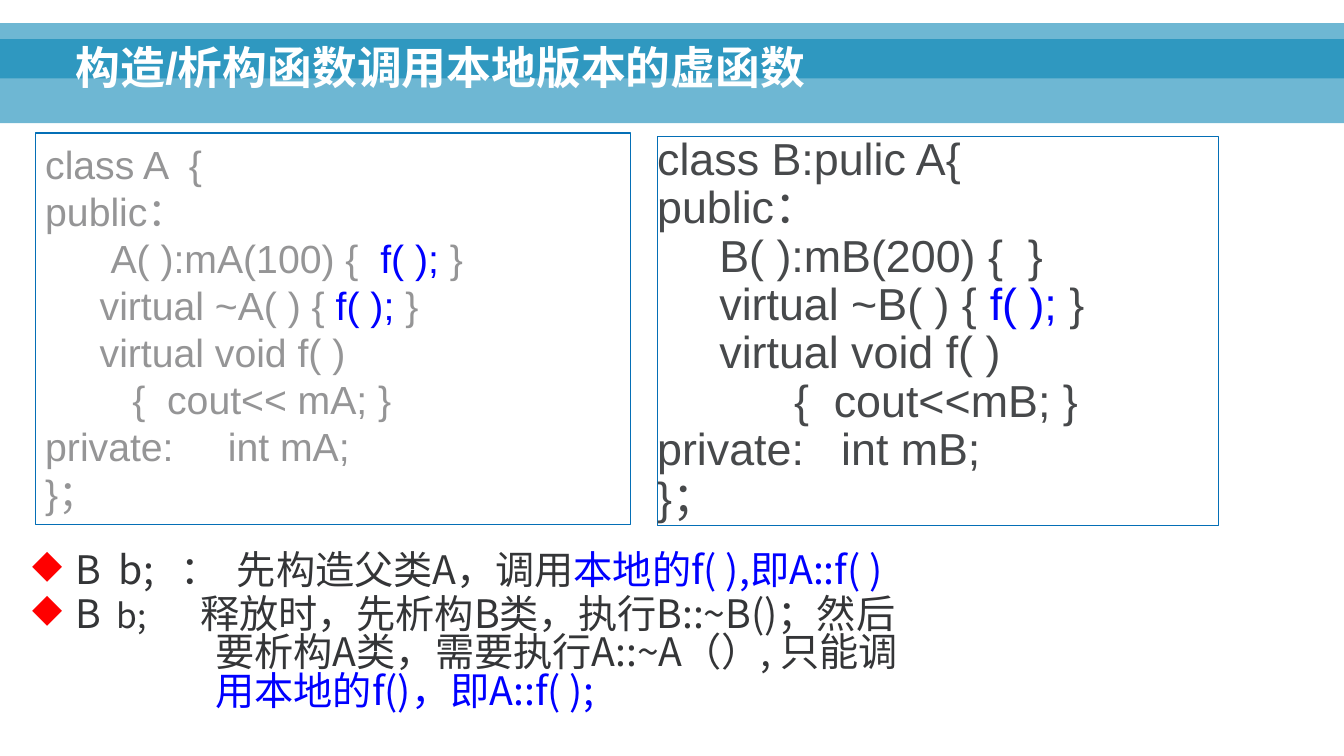
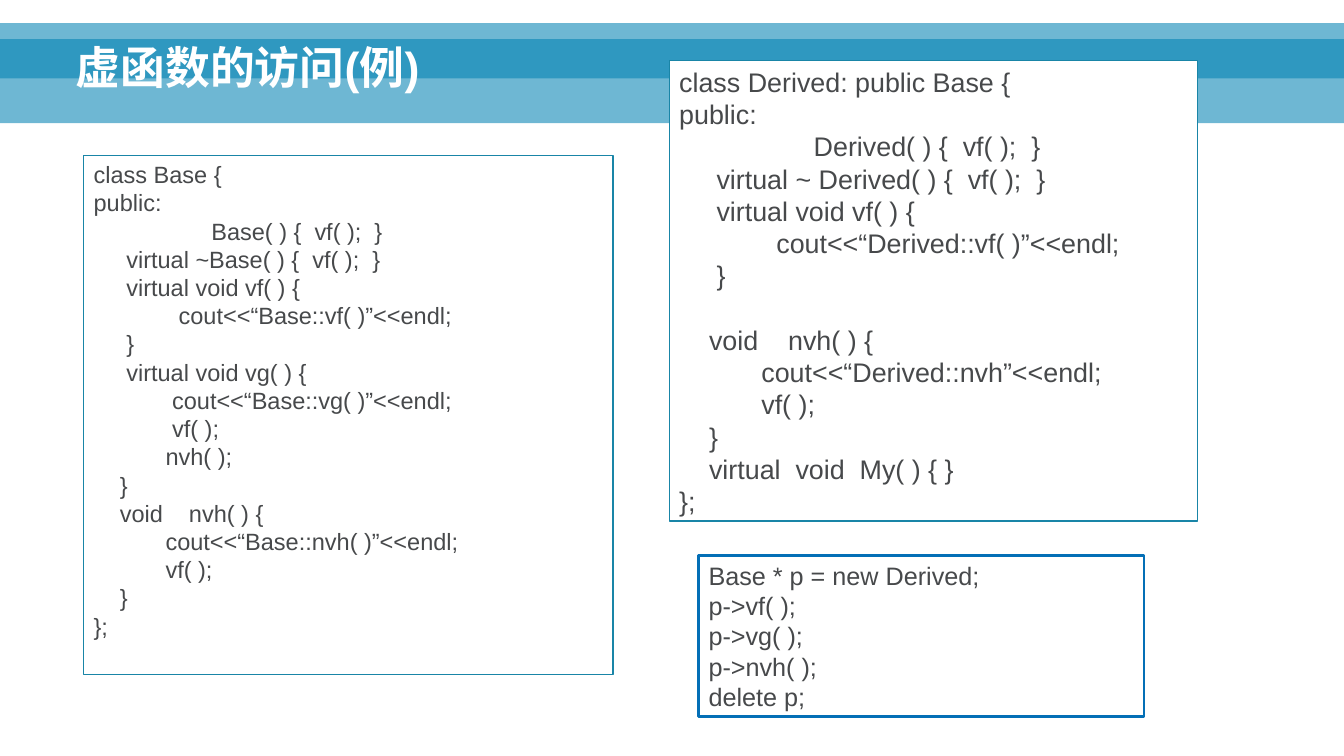
"""Build two slides on virtual function calls."""
from pptx import Presentation
from pptx import util as u
from pptx.dml import color
from pptx.enum import shapes, text
from pptx.oxml import xmlchemy as xc

Pt = u.Pt
HUES = {"band": "0082B3", "white": "FFFFFF", "gray": "959596", "dark": "47494B",
        "ink": "343537", "blue": "0000FF", "red": "FF0000", "edge": "046FB6",
        "teal": "1985A7"}
SANS, CJK = "Arial", "Noto Sans CJK SC"
SPACE = 0.278
PITCH = 1.2
BANDS = [(28, 60), (16.5, 39.5)]

OUTER = """class A  {
public：
      A( ):mA(100) { | f( ); |}
     virtual ~A( ) {| f( ); |}
     virtual void f( )
        {  cout<< mA; }
private:     int mA;
}；"""
INNER = """class B:pulic A{
public：
     B( ):mB(200) {  }
     virtual ~B( ) { |f( );| }
     virtual void f( )
           {  cout<<mB; }
private:   int mB;
}；"""
BASE = """class Base {
public:
                  Base( ) {  vf( );  }
     virtual ~Base( ) {  vf( );  }
     virtual void vf( ) {
             cout<<“Base::vf( )”<<endl;
     }
     virtual void vg( ) {
            cout<<“Base::vg( )”<<endl;
            vf( );
           nvh( );
    }
    void    nvh( ) {
           cout<<“Base::nvh( )”<<endl;
           vf( );
    }
};"""
DERIVED = """class Derived: public Base {
public:
                  Derived( ) {  vf( );  }
     virtual ~ Derived( ) {  vf( );  }
     virtual void vf( ) {
             cout<<“Derived::vf( )”<<endl;
     }

    void    nvh( ) {
           cout<<“Derived::nvh”<<endl;
           vf( );
    }
    virtual  void  My( ) { }
};"""
USAGE = """Base * p = new Derived;
p->vf( );
p->vg( );
p->nvh( );
delete p;"""


def tint(hue):
    """Return the named colour."""
    return color.RGBColor.from_string(HUES[hue])


def put(item, form):
    """Set attributes from a dict."""
    for key, val in form.items():
        setattr(item, key, val)


def sub(node, tag, **atts):
    """Append an XML child with attributes."""
    kid = xc.OxmlElement(tag)
    for key, val in atts.items():
        kid.set(key, str(val))
    node.append(kid)
    return kid


def write(par, words, size, hue, face=SANS, bold=False):
    """Add text; parts between bars turn blue."""
    for num, part in enumerate(words.split("|")):
        if part:
            run = par.add_run()
            run.text = part
            put(run.font, {"size": Pt(size), "name": face, "bold": bold})
            run.font.color.rgb = tint("blue" if num % 2 else hue)
            sub(run.font._element, "a:ea", typeface=CJK)


def indent(par, left, first=0):
    """Set the left margin and first-line offset."""
    prop = par._p.get_or_add_pPr()
    prop.set("marL", str(Pt(left)))
    prop.set("indent", str(Pt(first)))
    return prop


def bullet(par, left, stop):
    """Hang a red diamond and set a tab stop."""
    prop = indent(par, left, -left)
    sub(sub(prop, "a:buClr"), "a:srgbClr", val=HUES["red"])
    sub(prop, "a:buChar", char="◆")
    sub(sub(prop, "a:tabLst"), "a:tab", pos=Pt(stop), algn="l")


def rect(slide, place, fill=None, line=None, width=1):
    """Add a plain rectangle."""
    box = slide.shapes.add_shape(shapes.MSO_SHAPE.RECTANGLE, *map(Pt, place))
    box.shadow.inherit = False
    if fill:
        box.fill.solid()
        box.fill.fore_color.rgb = tint(fill)
    else:
        box.fill.background()
    if line:
        box.line.color.rgb = tint(line)
        box.line.width = Pt(width)
    else:
        box.line.fill.background()
    return box


def code(slide, place, words, size, hue="dark", line="teal", width=1,
         fill=None, scale=1, form=None):
    """Add a framed code listing, one paragraph a line."""
    frame = rect(slide, place, fill, line, width).text_frame
    put(frame, {"word_wrap": True, "vertical_anchor": text.MSO_ANCHOR.TOP})
    put(frame, form or {})
    pitch, gap = size * PITCH * scale, 0
    par = frame.paragraphs[0]
    for num, row in enumerate(words.split("\n")):
        if not row:
            gap = pitch
            continue
        par = frame.add_paragraph() if num else par
        put(par, {"alignment": text.PP_ALIGN.LEFT, "line_spacing": Pt(pitch),
                  "space_before": Pt(gap)})
        bare = row.lstrip()
        indent(par, (len(row) - len(bare)) * SPACE * size)
        write(par, bare, size, hue)
        gap = 0


def notes(slide, place, rows):
    """Add bulleted remarks; rows without a bullet continue the one above."""
    frame = slide.shapes.add_textbox(*map(Pt, place)).text_frame
    put(frame, {"word_wrap": True, **margins(0)})
    for num, (mark, parts) in enumerate(rows):
        par = frame.add_paragraph() if num else frame.paragraphs[0]
        put(par, {"line_spacing": Pt(27.5), "space_before": Pt(4 if mark else 0)})
        if mark:
            bullet(par, 31, 120)
        else:
            indent(par, 131)
        for words, size in parts:
            write(par, words, size, "ink", CJK)


def margins(size):
    """Return equal margins for a text frame."""
    return {f"margin_{side}": Pt(size) for side in ("left", "top", "right", "bottom")}


def page(deck, name):
    """Add a slide with the bands and its title."""
    slide = deck.slides.add_slide(deck.slide_layouts[5])
    for top, high in BANDS:
        band = rect(slide, (0, top, 960, high), "band")
        hue = band.fill._xPr.find(".//" + xc.qn("a:srgbClr"))
        sub(hue, "a:alpha", val=57000)
    head = slide.shapes.title
    slide.shapes._spTree.append(head._element)
    put(head, dict(zip(("left", "top", "width", "height"),
                       map(Pt, (46.8, 8.6, 862.6, 62.6)))))
    put(head.text_frame, {"vertical_anchor": text.MSO_ANCHOR.BOTTOM, "word_wrap": True})
    par = head.text_frame.paragraphs[0]
    put(par, {"alignment": text.PP_ALIGN.LEFT, "line_spacing": 0.9})
    write(par, name, 32, "white", bold=True)
    return slide


def main():
    """Build and save the deck."""
    deck = Presentation()
    put(deck, {"slide_width": Pt(960), "slide_height": Pt(540)})

    calls = page(deck, "构造/析构函数调用本地版本的虚函数")
    code(calls, (25.2, 95, 425.5, 279.4), OUTER, 28, "gray", "edge", 0.75,
         form={"vertical_anchor": text.MSO_ANCHOR.MIDDLE})
    code(calls, (469.4, 97.2, 401, 277.9), INNER, 32, "dark", "edge", 0.75,
         scale=0.9, form=margins(0))
    notes(calls, (23, 395.3, 700, 122.4), [
        (True, [("B  b;   ：  先构造父类A，调用|本地的f( ),即A::f( )", 28)]),
        (True, [("B", 28), ("  b;", 24),
                ("\t释放时，先析构B类，执行B::~B()；然后", 28)]),
        (False, [("要析构A类，需要执行A::~A（）, 只能调", 28)]),
        (False, [("|用本地的f()，即A::f( );", 28)])])

    access = page(deck, "虚函数的访问(例)")
    code(access, (59.8, 110.9, 378, 370.8), BASE, 16.8)
    code(access, (478.1, 43.2, 377.3, 329), DERIVED, 19.2, fill="white")
    code(access, (499, 396.7, 318.2, 115.2), USAGE, 18, line="edge", width=1.75,
         fill="white")
    deck.save("out.pptx")


main()
